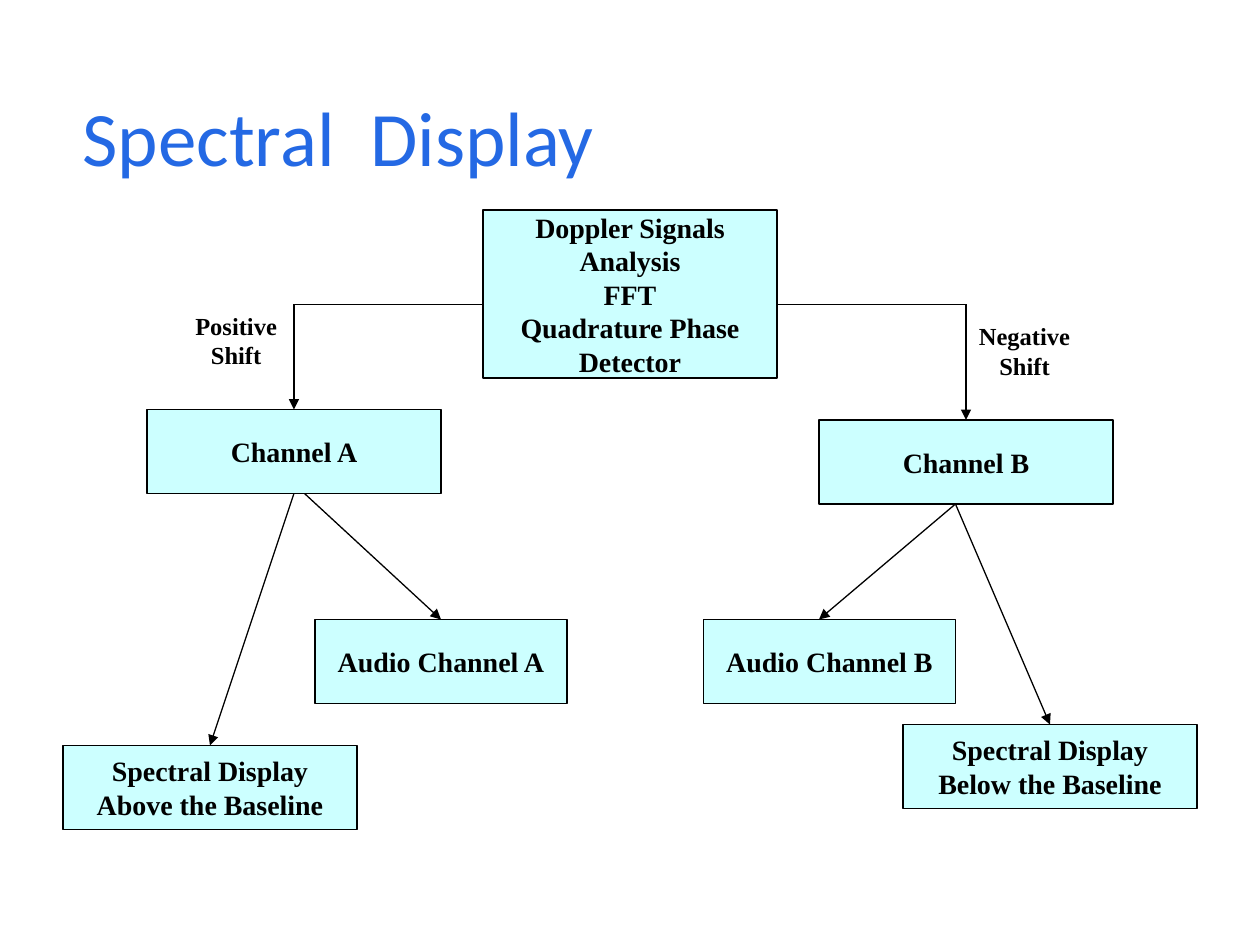
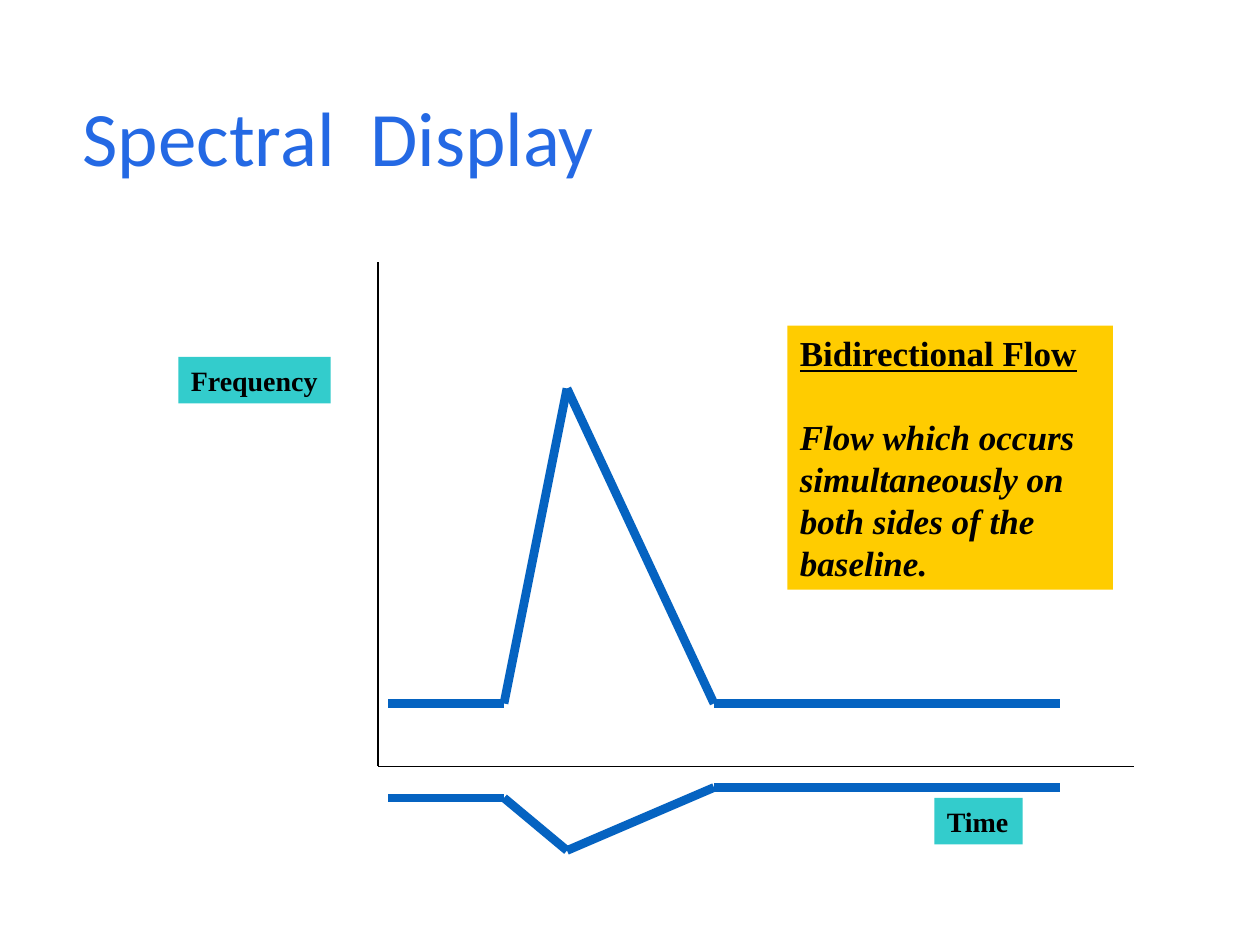
from itertools import pairwise

from pptx import Presentation
from pptx.dml.color import RGBColor
from pptx.enum.shapes import MSO_CONNECTOR as Line, MSO_SHAPE as Shape
from pptx.enum.text import MSO_ANCHOR as Anchor, PP_ALIGN as Align
from pptx.oxml.ns import qn
from pptx.util import Pt
from lxml.etree import SubElement

BLACK = RGBColor(0x00, 0x00, 0x00)
TITLE_BLUE = RGBColor(0x24, 0x69, 0xE4)
TRACE_BLUE = RGBColor(0x05, 0x63, 0xC1)
NODE_CYAN = RGBColor(0xCC, 0xFF, 0xFF)
LABEL_TEAL = RGBColor(0x33, 0xCC, 0xCC)
NOTE_GOLD = RGBColor(0xFF, 0xCC, 0x00)

TITLE_FONT = "Calibri"
BODY_FONT = "Times New Roman"
TITLE_ONLY = 5
TOP = 0  # connection site

TITLE_BOX = (30, 48, 648, 66)
FLOW_BOX = (36, 120, 648, 354)
PLOT_BOX = (216, 150, 432, 288)

# Flow chart, relative to its box: text lines, left, top, width, height
NODES = {
    "analysis": (["Doppler Signals", "Analysis", "FFT", "Quadrature Phase", "Detector"],
                 240, 0, 168, 96),
    "channel_a": (["Channel A"], 48, 114, 168, 48),
    "channel_b": (["Channel B"], 432, 120, 168, 48),
    "audio_a": (["Audio Channel A"], 144, 234, 144, 48),
    "audio_b": (["Audio Channel B"], 366, 234, 144, 48),
    "display_a": (["Spectral Display", "Above the Baseline"], 0, 306, 168, 48),
    "display_b": (["Spectral Display", "Below the Baseline"], 480, 294, 168, 48),
}
SHIFT_LABELS = [(["Positive", "Shift"], 66, 54, 66, 42),
                (["Negative", "Shift"], 516, 60, 67, 42)]
BRANCH_LINES = [((240, 54), (132, 54)), ((408, 54), (516, 54))]
# Start point and the node whose top the arrow meets
ARROWS = [((132, 54), "channel_a"), ((516, 54), "channel_b"),
          ((138, 162), "audio_a"), ((132, 162), "display_a"),
          ((510, 168), "display_b")]
AUDIO_B_ARROW = ((510, 168), (432, 234))

# Spectral traces, relative to the plot box
TRACES = [
    [(6, 252), (72, 252), (108, 72), (192, 252), (270, 252), (390, 252)],
    [(6, 306), (72, 306), (108, 336), (192, 300), (390, 300)],
]
AXIS_LABELS = [("Frequency", -114, 54, 87, 26.6), ("Time", 318, 306, 50.4, 26.6)]
NOTE_PLACE = (234, 36, 186, 151)


def place(area, left, top, width, height):
    """Turn a box relative to an area into slide lengths."""
    return Pt(area[0] + left), Pt(area[1] + top), Pt(width), Pt(height)


def add_text(para, text, font=BODY_FONT, size=16, color=BLACK, bold=True,
             italic=False, underline=False):
    span = para.add_run()
    span.text = text
    span.font.name = font
    span.font.size = Pt(size)
    span.font.color.rgb = color
    span.font.bold = bold
    span.font.italic = italic
    span.font.underline = underline
    return span


def fill_lines(box, lines, align=Align.LEFT, **style):
    """Write one paragraph for each line."""
    frame = box.text_frame
    for index, text in enumerate(lines):
        para = frame.add_paragraph() if index else frame.paragraphs[0]
        para.alignment = align
        add_text(para, text, **style)


def add_box(page, area, spot, fill, kind=Shape.RECTANGLE, outlined=False,
            anchor=Anchor.TOP, wrap=False):
    box = page.shapes.add_shape(kind, *place(area, *spot))
    box.shadow.inherit = False
    box.fill.solid()
    box.fill.fore_color.rgb = fill
    if outlined:
        box.line.color.rgb = BLACK
        box.line.width = Pt(0.75)
    else:
        box.line.fill.background()
    box.text_frame.word_wrap = wrap
    box.text_frame.vertical_anchor = anchor
    return box


def add_line(page, area, start, end, color=BLACK, width=0.75, arrow=False):
    left, top = area[:2]
    line = page.shapes.add_connector(
        Line.STRAIGHT, Pt(left + start[0]), Pt(top + start[1]),
        Pt(left + end[0]), Pt(top + end[1]))
    line.line.color.rgb = color
    line.line.width = Pt(width)
    if arrow:
        SubElement(line.line._get_or_add_ln(), qn("a:tailEnd"), type="triangle")
    SubElement(line._element.spPr, qn("a:effectLst"))
    return line


def add_titled_page(deck, area):
    page = deck.slides.add_slide(deck.slide_layouts[TITLE_ONLY])
    title = page.shapes.title
    title.left, title.top, title.width, title.height = map(Pt, area)
    frame = title.text_frame
    frame.vertical_anchor = Anchor.MIDDLE
    frame.margin_left = Pt(17.2)
    para = frame.paragraphs[0]
    para.alignment = Align.LEFT
    para.line_spacing = 0.9
    style = {"font": TITLE_FONT, "size": 44, "color": TITLE_BLUE, "bold": False}
    add_text(para, "Spectral", **style)
    # Widened word gap, in hundredths of a point
    gap = add_text(para, " ", **style)
    gap.font._element.set("spc", "1000")
    add_text(para, "Display", **style)
    return page


def draw_flow_chart(page, area):
    # Nodes
    nodes = {}
    for name, (lines, *spot) in NODES.items():
        nodes[name] = add_box(page, area, spot, NODE_CYAN, Shape.FLOWCHART_PROCESS,
                              outlined=True, anchor=Anchor.MIDDLE)
        fill_lines(nodes[name], lines, Align.CENTER)

    # Branches and arrows
    for start, end in BRANCH_LINES:
        add_line(page, area, start, end)
    for start, target in ARROWS:
        _, left, top, width, _ = NODES[target]
        arrow = add_line(page, area, start, (left + width / 2, top), arrow=True)
        arrow.end_connect(nodes[target], TOP)
    add_line(page, area, *AUDIO_B_ARROW, arrow=True)

    # Shift labels
    for lines, *spot in SHIFT_LABELS:
        label = page.shapes.add_textbox(*place(area, *spot))
        label.text_frame.word_wrap = True
        fill_lines(label, lines, Align.CENTER, size=14)


def draw_spectrum(page, area):
    # Axes
    width, height = area[2:]
    for start, end in pairwise([(0, 0), (0, height), (width, height)]):
        add_line(page, area, start, end)

    # Traces on both sides of the baseline
    for points in TRACES:
        for start, end in pairwise(points):
            add_line(page, area, start, end, color=TRACE_BLUE, width=5)

    # Axis labels
    for text, *spot in AXIS_LABELS:
        fill_lines(add_box(page, area, spot, LABEL_TEAL), [text])


def draw_note(page, area):
    note = add_box(page, area, NOTE_PLACE, NOTE_GOLD, wrap=True)
    fill_lines(note, ["Bidirectional Flow"], size=20, underline=True)
    para = note.text_frame.add_paragraph()
    para.alignment = Align.LEFT
    para.space_before = Pt(24)
    add_text(para, "Flow which occurs simultaneously on both sides of the baseline.",
             size=20, italic=True)


def main():
    deck = Presentation()
    deck.slide_width, deck.slide_height = Pt(720), Pt(540)
    draw_flow_chart(add_titled_page(deck, TITLE_BOX), FLOW_BOX)
    spectrum_page = add_titled_page(deck, TITLE_BOX)
    draw_spectrum(spectrum_page, PLOT_BOX)
    draw_note(spectrum_page, PLOT_BOX)
    deck.save("out.pptx")


if __name__ == "__main__":
    main()
